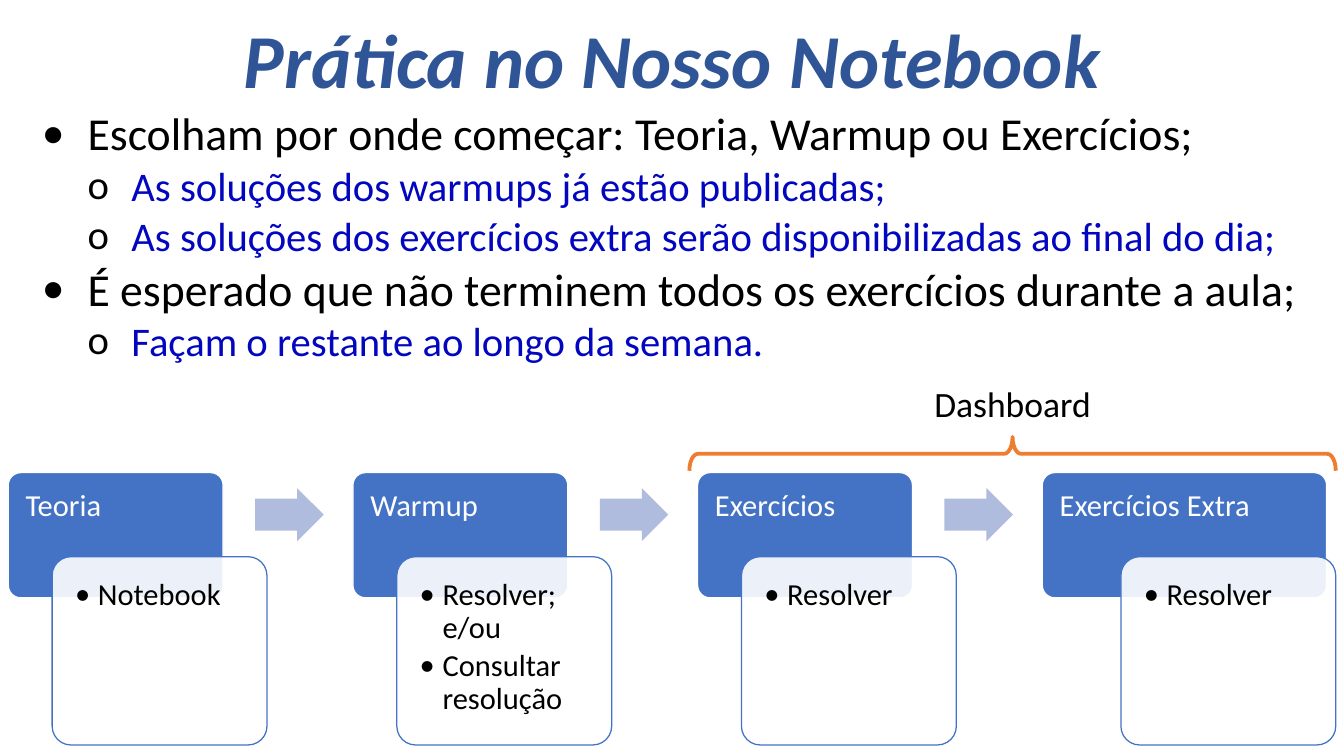
from lxml import etree
from pptx import Presentation
from pptx.dml.color import RGBColor
from pptx.enum.shapes import MSO_SHAPE
from pptx.enum.text import MSO_ANCHOR, MSO_AUTO_SIZE, PP_ALIGN
from pptx.oxml.ns import qn
from pptx.util import Pt

PX = 9144  # 100 px to the inch
FONT = "Calibri"
TITLE_ONLY = 5

ROUNDED, ARROW, BRACE = (
    MSO_SHAPE.ROUNDED_RECTANGLE, MSO_SHAPE.RIGHT_ARROW, MSO_SHAPE.LEFT_BRACE)
TOP, BOTTOM = MSO_ANCHOR.TOP, MSO_ANCHOR.BOTTOM
LEFT, CENTER = PP_ALIGN.LEFT, PP_ALIGN.CENTER
NO_FIT = MSO_AUTO_SIZE.NONE

BLACK = RGBColor(0x00, 0x00, 0x00)
WHITE = RGBColor(0xFF, 0xFF, 0xFF)
NAVY = RGBColor(0x2F, 0x55, 0x97)
ROYAL = RGBColor(0x02, 0x06, 0xBE)
BLUE = RGBColor(0x44, 0x72, 0xC4)
PALE = RGBColor(0xB0, 0xBC, 0xDE)
ORANGE = RGBColor(0xED, 0x7D, 0x31)

TITLE = "Prática no Nosso Notebook"
GUIDANCE = [
    (0, "Escolham por onde começar: Teoria, Warmup ou Exercícios;"),
    (1, "As soluções dos warmups já estão publicadas;"),
    (1, "As soluções dos exercícios extra serão disponibilizadas ao final do dia;"),
    (0, "É esperado que não terminem todos os exercícios durante a aula;"),
    (1, "Façam o restante ao longo da semana."),
]
GUIDANCE_LEVELS = [
    dict(size=36, color=BLACK, bullet="•", indent=50, hanging=50),
    dict(size=32, color=ROYAL, bullet="o", indent=98, hanging=48,
         line_spacing=0.9, space_before=Pt(5)),
]
STEPS = [
    ("Teoria", ["Notebook"], 235),
    ("Warmup", ["Resolver; e/ou", "Consultar resolução"], 235),
    ("Exercícios", ["Resolver"], 235),
    ("Exercícios Extra", ["Resolver"], 311),
]
STEP_PITCH = 377
CARD_WIDTH = 235


def emu(*lengths):
    return [length * PX for length in lengths]


def set_insets(frame, left, top, right, bottom):
    sides = dict(margin_left=left, margin_top=top,
                 margin_right=right, margin_bottom=bottom)
    for side, length in sides.items():
        setattr(frame, side, length * PX)


def add_bullet(paragraph, char, indent, hanging):
    props = paragraph._p.get_or_add_pPr()
    props.set("marL", str(indent * PX))
    props.set("indent", str(-hanging * PX))
    color = etree.SubElement(props, qn("a:buClr"))
    etree.SubElement(color, qn("a:srgbClr")).set("val", str(BLACK))
    etree.SubElement(props, qn("a:buFont")).set("typeface", FONT)
    etree.SubElement(props, qn("a:buChar")).set("char", char)


def write_line(paragraph, text, size, color, bullet=None, indent=0, hanging=0,
               bold=False, italic=False, **spacing):
    """Fill one paragraph; spacing holds paragraph attributes."""
    run = paragraph.add_run()
    run.text = text
    font_format = dict(name=FONT, size=Pt(size), bold=bold, italic=italic)
    for attribute, value in font_format.items():
        setattr(run.font, attribute, value)
    run.font.color.rgb = color
    for attribute, value in spacing.items():
        setattr(paragraph, attribute, value)
    if bullet:
        add_bullet(paragraph, bullet, indent, hanging)


def write_lines(frame, lines):
    """Write (text, format) pairs as the paragraphs of an empty frame."""
    for index, (text, line_format) in enumerate(lines):
        paragraph = frame.add_paragraph() if index else frame.paragraphs[0]
        write_line(paragraph, text, **line_format)


def add_plain_shape(slide, kind, box, fill=None, line=None, weight=1, adjust=()):
    shape = slide.shapes.add_shape(kind, *emu(*box))
    shape.shadow.inherit = False
    for index, value in enumerate(adjust):
        shape.adjustments[index] = value
    if fill is None:
        shape.fill.background()
    else:
        shape.fill.solid()
        shape.fill.fore_color.rgb = fill
    if line is None:
        shape.line.fill.background()
    else:
        shape.line.color.rgb = line
        shape.line.width = Pt(weight)
    return shape


def set_opacity(shape, percent):
    color = shape._element.spPr.find(qn("a:solidFill"))[0]
    etree.SubElement(color, qn("a:alpha")).set("val", str(percent * 1000))


def place_title(slide, box):
    title = slide.shapes.title
    title.left, title.top, title.width, title.height = emu(*box)
    frame = title.text_frame
    frame.auto_size = NO_FIT
    frame.vertical_anchor = BOTTOM
    set_insets(frame, 10, 5, 10, 5)
    write_line(frame.paragraphs[0], TITLE, 60, NAVY, bold=True, italic=True,
               alignment=CENTER, line_spacing=0.9)


def add_guidance(slide, box):
    frame = slide.shapes.add_textbox(*emu(*box)).text_frame
    frame.word_wrap = True
    set_insets(frame, 10, 5, 10, 5)
    write_lines(frame, [(text, GUIDANCE_LEVELS[level]) for level, text in GUIDANCE])
    for paragraph, (level, _) in zip(frame.paragraphs, GUIDANCE):
        paragraph.level = level


def add_step(slide, left, top, name, tasks, width):
    """Draw a heading block with its task card overlapping the lower right."""
    heading = add_plain_shape(slide, ROUNDED, (left, top, width, 137),
                              BLUE, WHITE, adjust=[0.1])
    card_left = left + 48 + (width - CARD_WIDTH) // 2
    card = add_plain_shape(slide, ROUNDED, (card_left, top + 92, CARD_WIDTH, 206),
                           WHITE, BLUE, adjust=[0.1])
    set_opacity(card, 90)
    common = dict(size=24, alignment=LEFT, line_spacing=0.9)
    heading_format = dict(common, color=WHITE, space_after=Pt(8))
    task_format = dict(common, color=BLACK, space_after=Pt(4),
                       bullet="•", indent=25, hanging=25)
    contents = [
        (heading, (15, 15, 15, 10), [(name, heading_format)]),
        (card, (19, 19, 19, 19), [(task, task_format) for task in tasks]),
    ]
    for shape, insets, lines in contents:
        frame = shape.text_frame
        frame.word_wrap = True
        frame.vertical_anchor = TOP
        set_insets(frame, *insets)
        write_lines(frame, lines)


def add_process(slide, left, top):
    for index, step in enumerate(STEPS):
        step_left = left + index * STEP_PITCH
        add_step(slide, step_left, top, *step)
        if index < len(STEPS) - 1:
            add_plain_shape(slide, ARROW, (step_left + 270, top + 17, 75, 58),
                            PALE, adjust=[0.6, 0.5])


def add_dashboard(slide, left, top, width):
    """Label a span with a brace that opens downwards."""
    depth = 37
    brace_box = (left + (width - depth) // 2, top + 65 - (width - depth) // 2,
                 depth, width)
    brace = add_plain_shape(slide, BRACE, brace_box, line=ORANGE, weight=3,
                            adjust=[0.25, 0.5])
    brace.rotation = 90
    label_width = 193
    label_box = (left + (width - label_width) // 2, top, label_width, 57)
    frame = slide.shapes.add_textbox(*emu(*label_box)).text_frame
    frame.word_wrap = False
    write_line(frame.paragraphs[0], "Dashboard", 28, BLACK, alignment=CENTER)


def main():
    deck = Presentation()
    deck.slide_width, deck.slide_height = emu(1470, 827)
    slide = deck.slides.add_slide(deck.slide_layouts[TITLE_ONLY])
    place_title(slide, (184, 17, 1102, 103))
    add_guidance(slide, (36, 110, 1397, 303))
    add_process(slide, 9, 517)
    add_dashboard(slide, 754, 413, 707)
    deck.save("out.pptx")


if __name__ == "__main__":
    main()
